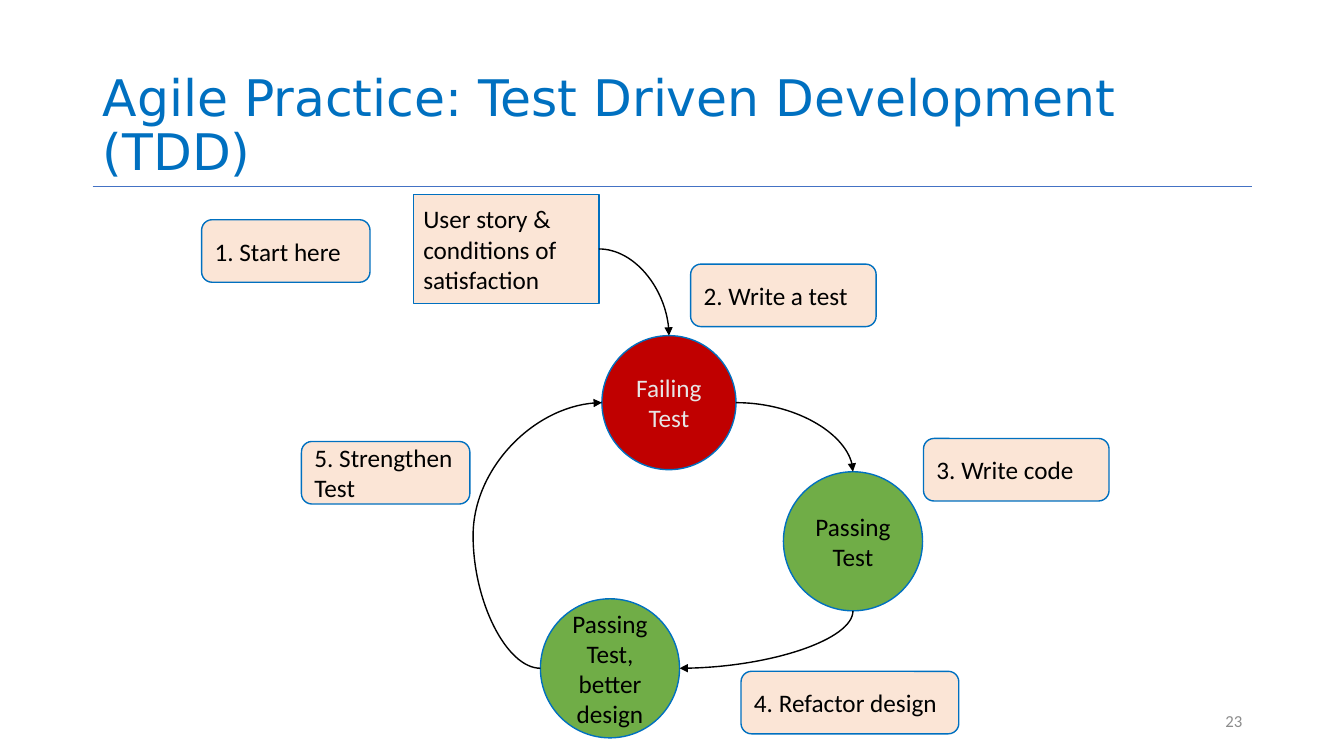
from lxml.etree import SubElement
from pptx import Presentation
from pptx.dml.color import RGBColor
from pptx.enum.dml import MSO_THEME_COLOR
from pptx.enum.shapes import MSO_CONNECTOR, MSO_SHAPE
from pptx.enum.text import MSO_ANCHOR, MSO_AUTO_SIZE, PP_ALIGN
from pptx.oxml.ns import qn
from pptx.util import Inches, Pt

COLORS = {"blue": "0070C0", "rule": "4472C4", "peach": "FBE5D6", "red": "C00000",
          "green": "70AD47", "light": "E7E6E6", "black": "000000", "gray": "8C8C8C"}

TITLE = "Agile Practice: Test Driven Development (TDD)"
PAGE = "23"
STORY = ("User story & conditions of satisfaction", 4.1, 1.93, 1.84, 1.08)
STEP_HEIGHT = 0.62
STEPS = [  # text, left, top, width
    ("1. Start here", 2, 2.18, 1.67),
    ("2. Write a test", 6.85, 2.62, 1.84),
    ("3. Write code", 9.16, 4.35, 1.84),
    ("4. Refactor design", 7.35, 6.66, 2.16),
    ("5. Strengthen Test", 2.99, 4.38, 1.67),
]
STATES = [  # key, text, left, top, diameter, fill, text colour
    ("failing", "Failing Test", 5.97, 3.33, 1.33, "red", "light"),
    ("passing", "Passing Test", 7.77, 4.68, 1.38, "green", "black"),
    ("better", "Passing Test, better design", 5.36, 5.94, 1.38, "green", "black"),
]
ARROWS = [  # from, side, to, side
    ("story", "right", "failing", "top"),
    ("passing", "bottom", "better", "right"),
    ("failing", "right", "passing", "top"),
    ("better", "left", "failing", "left"),
]
LOOP_BULGE = -109500  # outward reach of the returning arrow, in 1/100000 of its width
CIRCLE_SITES = {"top": 0, "left": 2, "bottom": 4, "right": 6}
SIDES = {"top": (0.5, 0), "left": (0, 0.5), "bottom": (0.5, 1), "right": (1, 0.5)}


def rgb(name):
    return RGBColor.from_string(COLORS[name])


def write(frame, text, size, color, align=PP_ALIGN.LEFT, anchor=MSO_ANCHOR.MIDDLE, font="Calibri"):
    frame.word_wrap = True
    frame.auto_size = MSO_AUTO_SIZE.NONE
    frame.vertical_anchor = anchor
    paragraph = frame.paragraphs[0]
    paragraph.alignment = align
    run = paragraph.add_run()
    run.text = text
    run.font.size = Pt(size)
    run.font.name = font
    run.font.color.rgb = rgb(color)
    return paragraph


def add_node(kind, text, left, top, width, height, fill="peach", color="black", align=PP_ALIGN.LEFT):
    node = slide.shapes.add_shape(kind, Inches(left), Inches(top), Inches(width), Inches(height))
    node.shadow.inherit = False
    node.fill.solid()
    node.fill.fore_color.rgb = rgb(fill)
    node.line.color.rgb = rgb("blue")
    node.line.width = Pt(1)
    write(node.text_frame, text, 18, color, align)
    return node


def add_line(kind, start, end, color, width):
    line = slide.shapes.add_connector(kind, *start, *end)
    line.line.color.rgb = rgb(color)
    line.line.width = Pt(width)
    SubElement(line._element.spPr, qn("a:effectLst"))
    return line


def side_point(node, side):
    across, down = SIDES[side]
    return int(node.left + across * node.width), int(node.top + down * node.height)


def glue(arrow, tag, node, side):
    """Join an arrow end to a circle, whose sites are numbered in eighths."""
    SubElement(arrow._element.nvCxnSpPr.cNvCxnSpPr, qn(tag),
               id=str(node.shape_id), idx=str(CIRCLE_SITES[side]))


def add_arrow(source, source_side, target, target_side):
    start, end = side_point(source, source_side), side_point(target, target_side)
    arrow = add_line(MSO_CONNECTOR.CURVE, start, end, "black", 1)
    if source is story:
        arrow.begin_connect(source, 3)
    else:
        glue(arrow, "a:stCxn", source, source_side)
    glue(arrow, "a:endCxn", target, target_side)
    SubElement(arrow.line._get_or_add_ln(), qn("a:tailEnd"), type="triangle")

    geometry = arrow._element.spPr.find(qn("a:prstGeom"))
    if source_side == target_side:
        SubElement(geometry.find(qn("a:avLst")), qn("a:gd"), name="adj1", fmla=f"val {LOOP_BULGE}")
        return
    geometry.set("prst", "curvedConnector2")
    if source_side == "bottom":  # quarter turn, so the curve leaves downwards
        width, height = abs(end[1] - start[1]), abs(end[0] - start[0])
        xfrm = arrow._element.spPr.find(qn("a:xfrm"))
        xfrm.attrib.pop("flipH", None)
        xfrm.set("rot", str(90 * 60000))
        arrow.left = (start[0] + end[0] - width) // 2
        arrow.top = (start[1] + end[1] - height) // 2
        arrow.width, arrow.height = width, height


deck = Presentation()
deck.slide_width, deck.slide_height = Inches(13.33), Inches(7.5)
slide = deck.slides.add_slide(deck.slide_layouts[5])
slide.background.fill.solid()
slide.background.fill.fore_color.theme_color = MSO_THEME_COLOR.BACKGROUND_1

title = slide.shapes.title
title.left, title.top, title.width, title.height = map(Inches, (0.92, 0.4, 11.5, 1.45))
heading = write(title.text_frame, TITLE, 36, "blue", anchor=MSO_ANCHOR.BOTTOM, font="DejaVu Sans")
heading.line_spacing = 0.9
add_line(MSO_CONNECTOR.STRAIGHT, (Inches(0.92), Inches(1.85)), (Inches(12.42), Inches(1.85)), "rule", 0.5)

page = slide.shapes.add_textbox(Inches(9.42), Inches(6.95), Inches(3), Inches(0.4))
write(page.text_frame, PAGE, 12, "gray", PP_ALIGN.RIGHT)

story = add_node(MSO_SHAPE.RECTANGLE, *STORY)
for text, left, top, width in STEPS:
    add_node(MSO_SHAPE.ROUNDED_RECTANGLE, text, left, top, width, STEP_HEIGHT)

nodes = {"story": story}
for key, text, left, top, diameter, fill, color in STATES:
    nodes[key] = add_node(MSO_SHAPE.OVAL, text, left, top, diameter, diameter,
                          fill, color, PP_ALIGN.CENTER)
for source, source_side, target, target_side in ARROWS:
    add_arrow(nodes[source], source_side, nodes[target], target_side)

deck.save("out.pptx")
